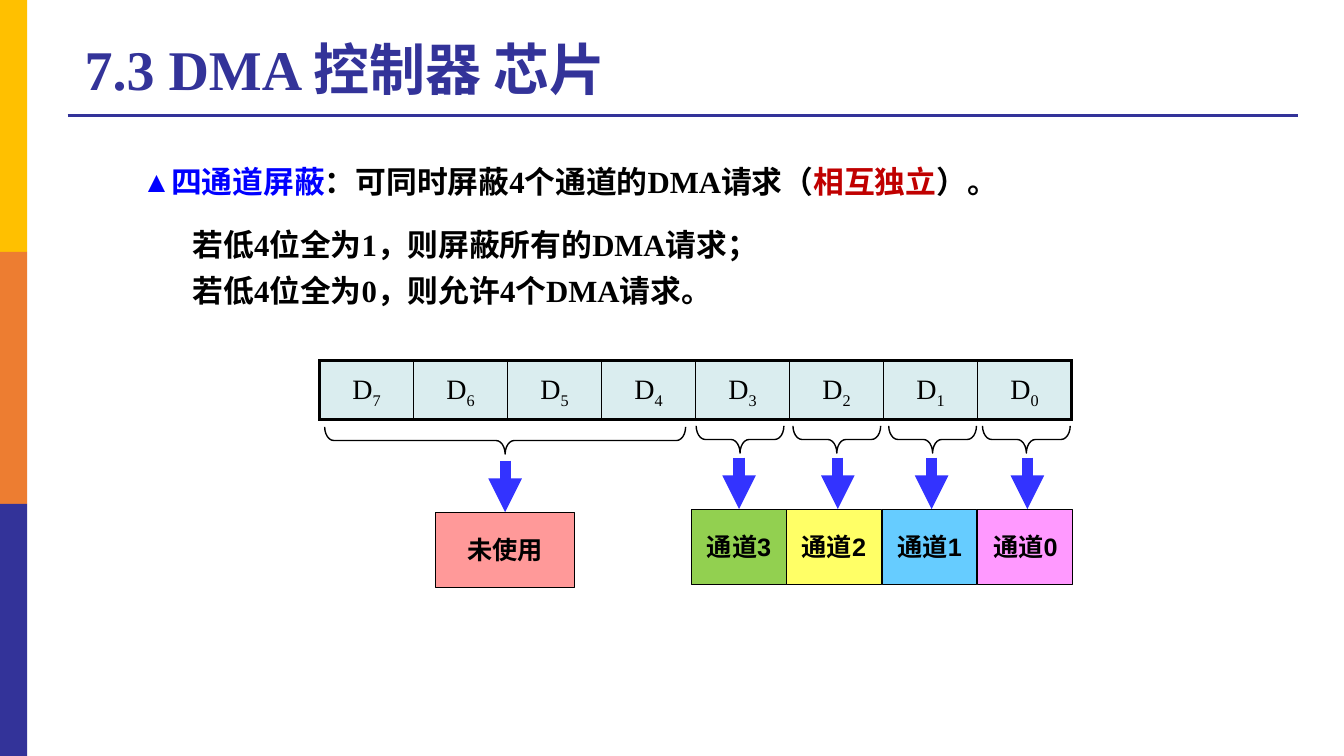
import pptx
import pptx.util
import pptx.dml.color
import pptx.enum.shapes
import pptx.enum.text
import pptx.oxml
import pptx.oxml.ns
from lxml import etree

Inches = pptx.util.Inches
Pt = pptx.util.Pt
RGB = pptx.dml.color.RGBColor
SHAPE = pptx.enum.shapes.MSO_SHAPE
LINE = pptx.enum.shapes.MSO_CONNECTOR.STRAIGHT
CENTER = pptx.enum.text.PP_ALIGN.CENTER
MIDDLE = pptx.enum.text.MSO_ANCHOR.MIDDLE
qn = pptx.oxml.ns.qn

BLACK = RGB(0, 0, 0)
NAVY = RGB(0x33, 0x33, 0x99)
BLUE = RGB(0, 0, 0xFF)
RED = RGB(0xC0, 0, 0)
ARROW = RGB(0x33, 0x33, 0xFF)
PALE = RGB(0xDA, 0xED, 0xEF)
SERIF, SANS = "Times New Roman", "Arial"

TITLE = "7.3 DMA 控制器 芯片"
STRIPES = [RGB(0xFF, 0xC0, 0), RGB(0xED, 0x7D, 0x31), NAVY]
# level, space before, runs of (text, colour)
BODY = [
    (0, 0, [("四通道屏蔽", BLUE), ("：可同时屏蔽4个通道的DMA请求（", BLACK),
            ("相互独立", RED), ("）。", BLACK)]),
    (1, 12, [("若低4位全为1，则屏蔽所有的DMA请求；", BLACK)]),
    (1, 0, [("若低4位全为0，则允许4个DMA请求。", BLACK)]),
]
BITS = "76543210"
# label, fill, box left, top and width, brace centre x and y, brace span, arrow x
FIELDS = [
    ("未使用", RGB(0xFF, 0x99, 0x99), 4.32, 5.08, 1.38, 5.01, 4.37, 3.58, 5.01),
    ("通道3", RGB(0x92, 0xD0, 0x50), 6.86, 5.05, 0.94, 7.34, 4.36, 0.87, 7.33),
    ("通道2", RGB(0xFF, 0xFF, 0x66), 7.8, 5.05, 0.94, 8.3, 4.36, 0.87, 8.31),
    ("通道1", RGB(0x66, 0xCC, 0xFF), 8.75, 5.05, 0.94, 9.25, 4.36, 0.87, 9.24),
    ("通道0", RGB(0xFF, 0x99, 0xFF), 9.7, 5.05, 0.94, 10.18, 4.36, 0.87, 10.19),
]
BOX_H, BRACE_H, ARROW_H = 0.75, 0.27, 0.51


def style(font, name, size, color, bold):
    font.name, font.size, font.bold = name, Pt(size), bold
    font.color.rgb = color


def place(shape, left, top, width, height):
    shape.left, shape.top = Inches(left), Inches(top)
    shape.width, shape.height = Inches(width), Inches(height)


def add_block(kind, left, top, width, height, fill=None, line=None):
    """Add a flat preset shape; line is a width in points."""
    shape = shapes.add_shape(kind, Inches(left), Inches(top),
                             Inches(width), Inches(height))
    shape.shadow.inherit = False
    if fill is None:
        shape.fill.background()
    else:
        shape.fill.solid()
        shape.fill.fore_color.rgb = fill
    if line is None:
        shape.line.fill.background()
    else:
        shape.line.width = Pt(line)
        shape.line.color.rgb = BLACK
    return shape


def add_line(x1, y1, x2, y2, color, width):
    line = shapes.add_connector(LINE, Inches(x1), Inches(y1),
                                Inches(x2), Inches(y2))
    line.line.color.rgb = color
    line.line.width = Pt(width)
    etree.SubElement(line._element.spPr, qn("a:effectLst"))
    return line


def set_bullet(para, level):
    props = para._p.get_or_add_pPr()
    props.set("marL", str(Inches(0.25 + 0.5 * level)))
    props.set("indent", str(Inches(-0.25)))
    if level:
        etree.SubElement(props, qn("a:buNone"))
        return
    etree.SubElement(props, qn("a:buSzPct")).set("val", "95000")
    etree.SubElement(props, qn("a:buFont")).set("typeface", SANS)
    etree.SubElement(props, qn("a:buChar")).set("char", "▲")


def set_edge(cell, side, width):
    edge = etree.SubElement(cell._tc.get_or_add_tcPr(), qn("a:ln" + side))
    edge.set("w", str(Pt(width)))
    fill = etree.SubElement(edge, qn("a:solidFill"))
    etree.SubElement(fill, qn("a:srgbClr")).set("val", str(BLACK))


def add_title():
    title = slide.shapes.title
    place(title, 0.6, 0.28, 9.91, 0.87)
    frame = title.text_frame
    frame.text = TITLE
    frame.vertical_anchor = MIDDLE
    frame.margin_left = Inches(0.24)
    para = frame.paragraphs[0]
    para.alignment = pptx.enum.text.PP_ALIGN.LEFT
    para.line_spacing = 0.9
    style(para.font, SERIF, 40, NAVY, True)
    style(para.runs[0].font, SERIF, 40, NAVY, True)


def add_body():
    body = slide.placeholders[1]
    place(body, 1.31, 1.61, 10.28, 1.67)
    frame = body.text_frame
    frame.auto_size = pptx.enum.text.MSO_AUTO_SIZE.NONE
    for i, (level, before, runs) in enumerate(BODY):
        para = frame.add_paragraph() if i else frame.paragraphs[0]
        para.level = level
        set_bullet(para, level)
        para.line_spacing = 0.9
        para.space_before, para.space_after = Pt(before), Pt(9)
        for text, color in runs:
            run = para.add_run()
            run.text = text
            style(run.font, SERIF, 22, color, True)


def add_bits():
    count = len(BITS)
    table = shapes.add_table(1, count, Inches(3.17), Inches(3.58),
                             Inches(7.46), Inches(0.58)).table
    table.first_row = table.horz_banding = False
    for i, bit in enumerate(BITS):
        cell = table.cell(0, i)
        set_edge(cell, "L", 1 if i else 2.25)
        set_edge(cell, "R", 1 if i < count - 1 else 2.25)
        set_edge(cell, "T", 2.25)
        set_edge(cell, "B", 2.25)
        cell.fill.solid()
        cell.fill.fore_color.rgb = PALE
        cell.vertical_anchor = MIDDLE
        para = cell.text_frame.paragraphs[0]
        para.alignment, para.line_spacing = CENTER, 1.1
        for text in ("D", bit):
            run = para.add_run()
            run.text = text
            style(run.font, SERIF, 20, BLACK, False)
        run.font._element.set("baseline", "-25000")


def add_field(label, fill, left, top, width, mid, level, span, x):
    """Draw one labelled box with the brace and arrow above it."""
    box = add_block(SHAPE.RECTANGLE, left, top, width, BOX_H, fill, 0.75)
    frame = box.text_frame
    frame.margin_left = frame.margin_right = 0
    frame.vertical_anchor = MIDDLE
    frame.text = label
    para = frame.paragraphs[0]
    para.alignment = CENTER
    style(para.font, SANS, 18, BLACK, True)
    style(para.runs[0].font, SANS, 18, BLACK, True)

    brace = add_block(SHAPE.LEFT_BRACE, mid - BRACE_H / 2, level - span / 2,
                      BRACE_H, span, line=1)
    brace.rotation = 270
    brace.adjustments[0] = 0.334

    arrow = add_line(x, top - ARROW_H, x, top, ARROW, 8)
    tail = etree.SubElement(arrow.line._get_or_add_ln(), qn("a:tailEnd"))
    tail.set("type", "triangle")
    if round(left + width / 2, 2) == x:
        arrow.end_connect(box, 0)


deck = pptx.Presentation()
deck.slide_width, deck.slide_height = Inches(13.33), Inches(7.5)
slide = deck.slides.add_slide(deck.slide_layouts[1])
shapes = slide.shapes

add_line(0.67, 1.15, 12.87, 1.15, NAVY, 2.25)
for i, color in enumerate(STRIPES):
    add_block(SHAPE.RECTANGLE, 0, 2.5 * i, 0.27, 2.5, color)
add_title()
add_body()
add_bits()
for field in FIELDS:
    add_field(*field)
deck.save("out.pptx")
